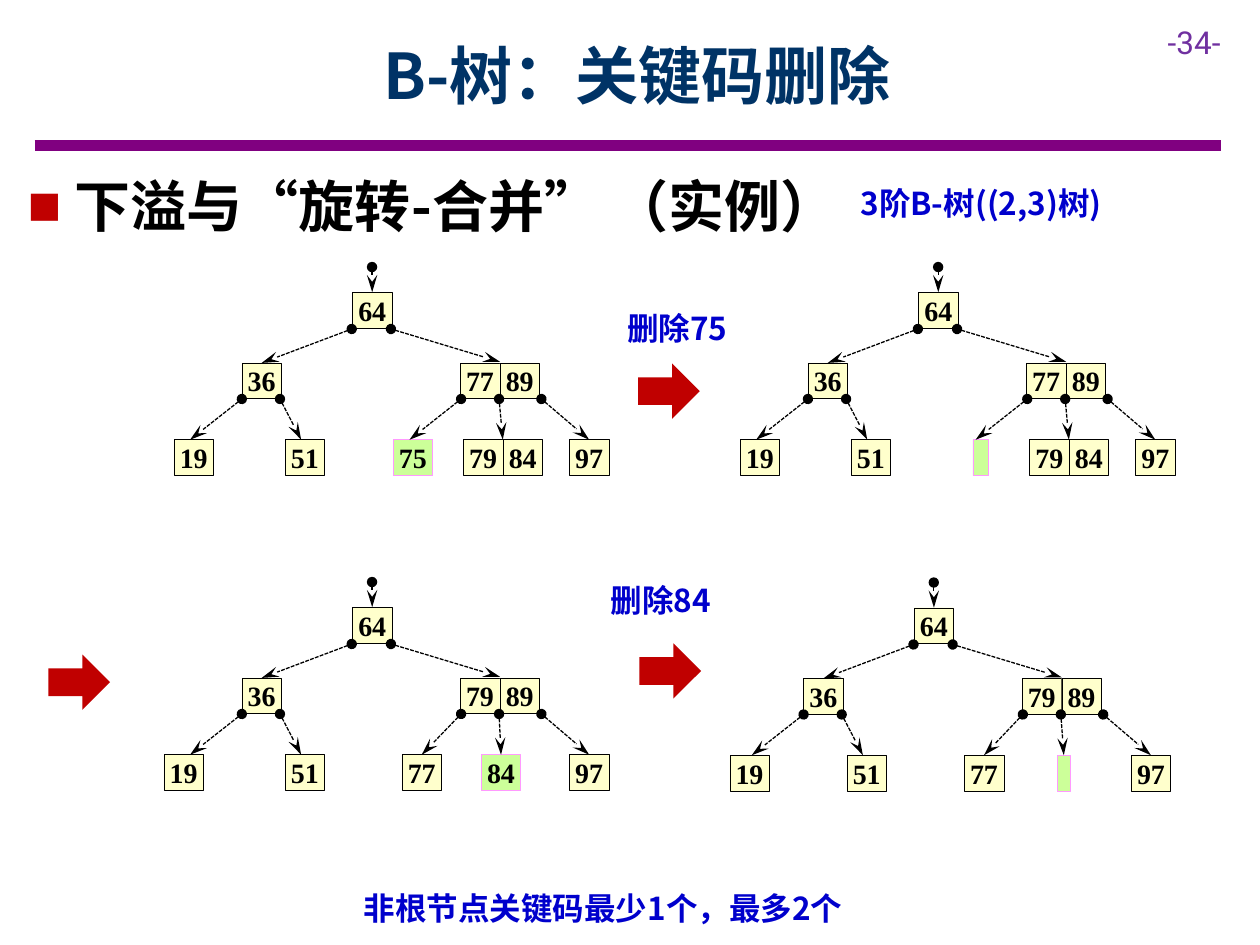
from lxml import etree
from pptx import Presentation
from pptx.dml.color import RGBColor
from pptx.enum.dml import MSO_LINE
from pptx.enum.shapes import MSO_CONNECTOR, MSO_SHAPE
from pptx.enum.text import MSO_ANCHOR, MSO_AUTO_SIZE, PP_ALIGN
from pptx.oxml.ns import qn
from pptx.util import Pt

STRAIGHT = MSO_CONNECTOR.STRAIGHT
DASH = MSO_LINE.SQUARE_DOT
RECTANGLE, DOWN_ARROW = MSO_SHAPE.RECTANGLE, MSO_SHAPE.DOWN_ARROW
TOP, MIDDLE = MSO_ANCHOR.TOP, MSO_ANCHOR.MIDDLE
LEFT, CENTER = PP_ALIGN.LEFT, PP_ALIGN.CENTER
NO_FIT = MSO_AUTO_SIZE.NONE

CHINESE, SERIF = "Noto Sans CJK SC", "Times New Roman"
BLACK, BLUE, RED = "000000", "0000CC", "C00000"
CREAM, GREEN, PINK = "FFFFCC", "CCFF99", "FF99FF"

NODE_WIDTH, NODE_HEIGHT = 22.6, 20.4
ROOT_TOP, BRANCH_TOP, LEAF_TOP = 167, 207.4, 251.3
JOIN_DISTANCE = 1.2

TREES = [
    (0, 0, "77", 234,
     [("19", 99.4), ("51", 162.9), ("79", 264.8), ("84", 287.4), ("97", 325.4)],
     ("75", 224.6, NODE_WIDTH)),
    (323.5, 0, "77", 234,
     [("19", 99.4), ("51", 162.9), ("79", 264.8), ("84", 287.4), ("97", 325.4)],
     ("", 232.4, 8.6)),
    (0, 180, "79", 241.2,
     [("19", 93.6), ("51", 162.9), ("77", 229.7), ("97", 325.4)],
     ("84", 275, NODE_WIDTH)),
    (321, 180.3, "79", 241.2,
     [("19", 96), ("51", 163), ("77", 230), ("97", 325.4)],
     ("", 283.3, 7.2)),
]


def color(value):
    return RGBColor.from_string(value)


def write_text(frame, text, size=18, font=CHINESE, fill=BLUE, bold=True,
               align=LEFT, anchor=TOP, inset=None):
    frame.word_wrap = True
    frame.auto_size = NO_FIT
    frame.vertical_anchor = anchor
    if inset is not None:
        frame.margin_left = frame.margin_right = Pt(inset)
        frame.margin_top = frame.margin_bottom = Pt(inset)
    para = frame.paragraphs[0]
    para.alignment = align
    para.space_before = Pt(0)
    span = para.add_run()
    span.text = text
    span.font.size = Pt(size)
    span.font.name = font
    span.font.bold = bold
    span.font.color.rgb = color(fill)
    etree.SubElement(span.font._element, qn("a:ea"), typeface=font)
    return para


def place(shape, left, top, width, height):
    shape.left, shape.top = Pt(left), Pt(top)
    shape.width, shape.height = Pt(width), Pt(height)


def add_label(page, text, left, top, width, height=28.8, **style):
    box = page.shapes.add_textbox(Pt(left), Pt(top), Pt(width), Pt(height))
    write_text(box.text_frame, text, **style)


def add_bullet(para, character, fill, indent):
    properties = para._p.get_or_add_pPr()
    properties.set("marL", str(Pt(indent)))
    properties.set("indent", str(-Pt(indent)))
    bullet_color = etree.SubElement(properties, qn("a:buClr"))
    etree.SubElement(bullet_color, qn("a:srgbClr"), val=fill)
    etree.SubElement(properties, qn("a:buChar"), char=character)


def add_node(page, text, left, top, width=NODE_WIDTH, fill=CREAM, line=BLACK):
    node = page.shapes.add_shape(RECTANGLE, Pt(left), Pt(top), Pt(width), Pt(NODE_HEIGHT))
    node.shadow.inherit = False
    node.fill.solid()
    node.fill.fore_color.rgb = color(fill)
    node.line.color.rgb = color(line)
    node.line.width = Pt(0.25)
    if text:
        write_text(node.text_frame, text, size=16, font=SERIF, fill=BLACK,
                   align=CENTER, anchor=MIDDLE, inset=0)
    return node


def add_line(page, start, end, fill, width):
    line = page.shapes.add_connector(STRAIGHT, *map(Pt, start + end))
    line.line.color.rgb = color(fill)
    line.line.width = Pt(width)
    etree.SubElement(line._element.spPr, qn("a:effectLst"))
    return line


def add_link(page, start, end, nodes):
    link = add_line(page, start, end, BLACK, 0.75)
    link.line.dash_style = DASH
    outline = link.line._get_or_add_ln()
    etree.SubElement(outline, qn("a:headEnd"), type="oval")
    etree.SubElement(outline, qn("a:tailEnd"), type="stealth", w="med", len="lg")
    for node in nodes:
        across = abs(node.left + node.width / 2 - Pt(end[0]))
        down = abs(node.top - Pt(end[1]))
        if max(across, down) < Pt(JOIN_DISTANCE):
            link.end_connect(node, 0)


def add_tree(page, shift_x, shift_y, branch_key, first_child, leaves, changed):
    cells = [("64", 201.4, ROOT_TOP), ("36", 138.2, BRANCH_TOP),
             (branch_key, 263, BRANCH_TOP), ("89", 285.7, BRANCH_TOP)]
    cells += [(text, left, LEAF_TOP) for text, left in leaves]
    nodes = [add_node(page, text, left + shift_x, top + shift_y)
             for text, left, top in cells]
    text, left, width = changed
    nodes.append(add_node(page, text, left + shift_x, LEAF_TOP + shift_y,
                          width, GREEN, PINK))
    links = [(212.6, 152.6, 212.6, ROOT_TOP), (201, 188, 149.6, BRANCH_TOP),
             (223.4, 188, 285.8, 206.8)]
    links += [(x, 228, child, LEAF_TOP) for x, child in
              [(138.2, 108.6), (160, 172.1), (263.5, first_child),
               (285.2, 287.3), (309.4, 337.2)]]
    for x1, y1, x2, y2 in links:
        add_link(page, (x1 + shift_x, y1 + shift_y),
                 (x2 + shift_x, y2 + shift_y), nodes)


def add_step_arrow(page, left, top):
    arrow = page.shapes.add_shape(DOWN_ARROW, Pt(left), Pt(top), Pt(31.6), Pt(35.2))
    arrow.rotation = 270
    arrow.shadow.inherit = False
    arrow.fill.solid()
    arrow.fill.fore_color.rgb = color(RED)
    arrow.line.fill.background()


def main():
    deck = Presentation()
    deck.slide_width, deck.slide_height = Pt(720), Pt(540)
    page = deck.slides.add_slide(deck.slide_layouts[1])
    add_line(page, (19.8, 83), (697.8, 83), "800080", 6)
    add_label(page, "-34-", 660.2, 9.4, 59.8, font="Roboto", fill="7030A0", bold=False)

    title, body = page.placeholders
    place(title, 64.8, 6.5, 598.3, 72)
    write_text(title.text_frame, "B-树：关键码删除", size=36, fill="003366",
               align=CENTER, anchor=MIDDLE)
    place(body, 8.6, 94.3, 697.7, 46)
    add_bullet(body.text_frame.paragraphs[0], "■", RED, 27)
    topic = write_text(body.text_frame, "下溢与“旋转-合并” （实例）", size=32, fill=BLACK)
    topic.space_after = Pt(6)

    for left, top in [(29.5, 372.2), (367.2, 365.8), (366.5, 205.9)]:
        add_step_arrow(page, left, top)
    for tree in TREES:
        add_tree(page, *tree)

    add_label(page, "3阶B-树((2,3)树)", 484.6, 101.5, 156.2)
    add_label(page, "非根节点关键码最少1个，最多2个", 200.9, 504.7, 330.5)
    add_label(page, "删除75", 351.4, 172.8, 73.4)
    add_label(page, "删除84", 342, 328.3, 73.4)
    deck.save("out.pptx")


if __name__ == "__main__":
    main()
